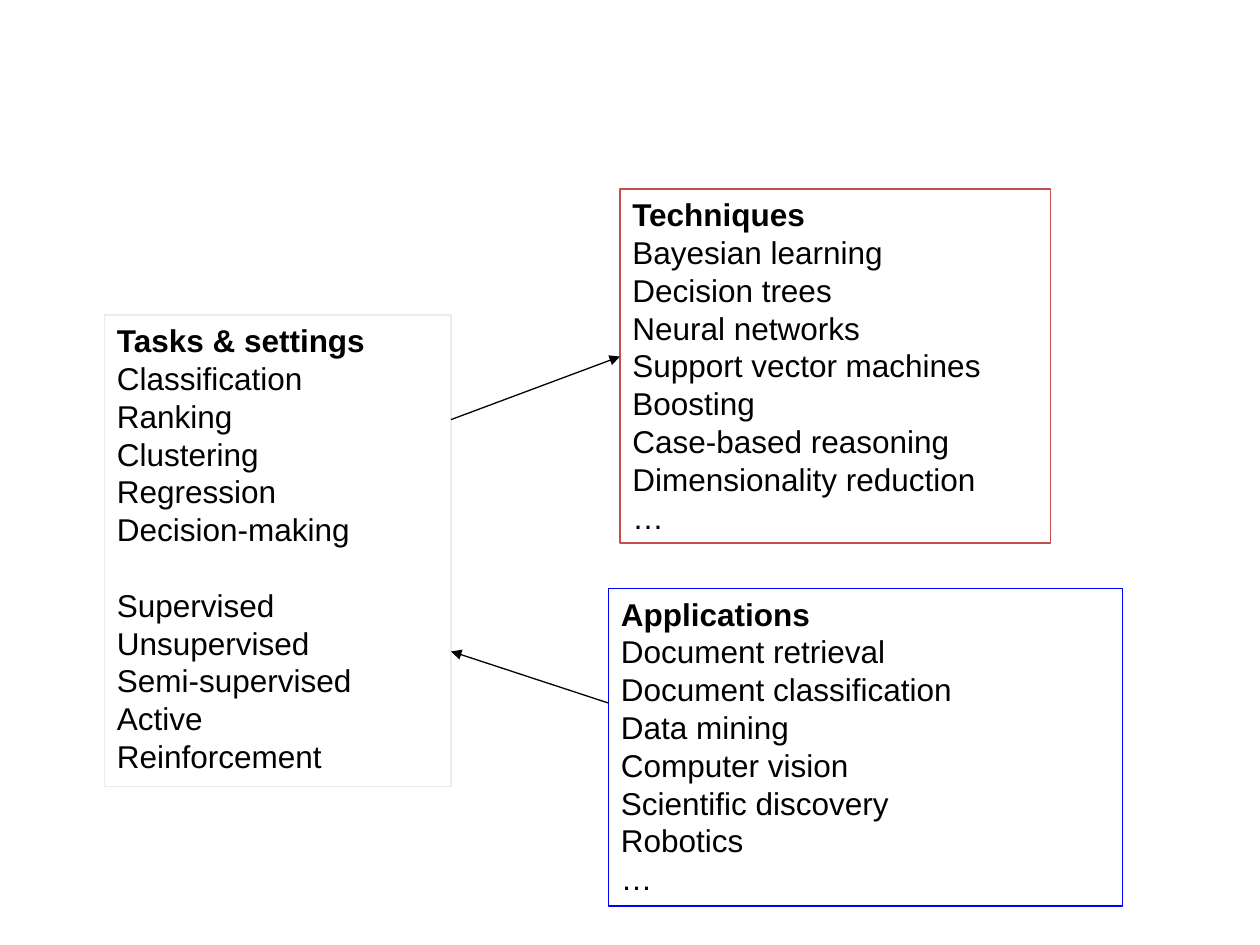
from lxml.etree import SubElement
from pptx import Presentation
from pptx.dml.color import RGBColor
from pptx.enum.shapes import MSO_CONNECTOR, MSO_SHAPE
from pptx.enum.text import MSO_ANCHOR, PP_ALIGN
from pptx.oxml.ns import qn
from pptx.util import Inches, Pt

COLORS = {
    "text": "000000",
    "tasks": "EEECE1",
    "techniques": "C0504D",
    "applications": "0000FF",
}
LINE_PITCH = Pt(21.6)
LINE_WIDTH = Pt(0.75)

# Each panel: box (left, top, width, height), heading, groups of items
PANELS = {
    "tasks": ((0.83, 2.5, 2.75, 3.74), "Tasks & settings", [
        ["Classification", "Ranking", "Clustering", "Regression",
         "Decision-making"],
        ["Supervised", "Unsupervised", "Semi-supervised", "Active",
         "Reinforcement"],
    ]),
    "applications": ((4.83, 4.67, 4.08, 2.52), "Applications", [
        ["Document retrieval", "Document classification", "Data mining",
         "Computer vision", "Scientific discovery", "Robotics", "…"],
    ]),
    "techniques": ((4.92, 1.5, 3.42, 2.81), "Techniques", [
        ["Bayesian learning", "Decision trees", "Neural networks",
         "Support vector machines", "Boosting", "Case-based reasoning",
         "Dimensionality reduction", "…"],
    ]),
}


def color(name):
    return RGBColor.from_string(COLORS[name])


def add_line(para, text, bold=False, gap=False):
    """Fill one paragraph; a gap leaves one line free above it."""
    para.alignment = PP_ALIGN.LEFT
    para.line_spacing = LINE_PITCH
    para.space_before = LINE_PITCH if gap else Pt(0)
    span = para.add_run()
    span.text = text
    span.font.name = "Arial"
    span.font.size = Pt(18)
    span.font.bold = bold
    span.font.color.rgb = color("text")


def add_panel(page, box, heading, groups, border):
    """Outlined list with a bold heading."""
    panel = page.shapes.add_shape(MSO_SHAPE.RECTANGLE, *map(Inches, box))
    panel.shadow.inherit = False
    panel.fill.background()
    panel.line.color.rgb = color(border)
    panel.line.width = LINE_WIDTH
    frame = panel.text_frame
    frame.word_wrap = True
    frame.vertical_anchor = MSO_ANCHOR.TOP
    add_line(frame.paragraphs[0], heading, bold=True)
    for group_index, group in enumerate(groups):
        for item_index, item in enumerate(group):
            starts_group = group_index > 0 and item_index == 0
            add_line(frame.add_paragraph(), item, gap=starts_group)


def add_arrow(page, start, end):
    """Thin line with a triangle at its end."""
    arrow = page.shapes.add_connector(
        MSO_CONNECTOR.STRAIGHT, *map(Inches, start + end))
    arrow.line.color.rgb = color("text")
    arrow.line.width = LINE_WIDTH
    SubElement(arrow.line._get_or_add_ln(), qn("a:tailEnd"), type="triangle")
    SubElement(arrow._element.spPr, qn("a:effectLst"))


def main():
    deck = Presentation()
    deck.slide_width, deck.slide_height = Inches(10), Inches(7.5)
    page = deck.slides.add_slide(deck.slide_layouts[6])

    # Panels
    for name, (box, heading, groups) in PANELS.items():
        add_panel(page, box, heading, groups, name)

    # Arrows between the facing edges of the panels
    tasks_left, _, tasks_width, _ = PANELS["tasks"][0]
    tasks_right = tasks_left + tasks_width
    add_arrow(page, (PANELS["applications"][0][0], 5.58), (tasks_right, 5.17))
    add_arrow(page, (tasks_right, 3.33), (PANELS["techniques"][0][0], 2.83))

    deck.save("out.pptx")


if __name__ == "__main__":
    main()
